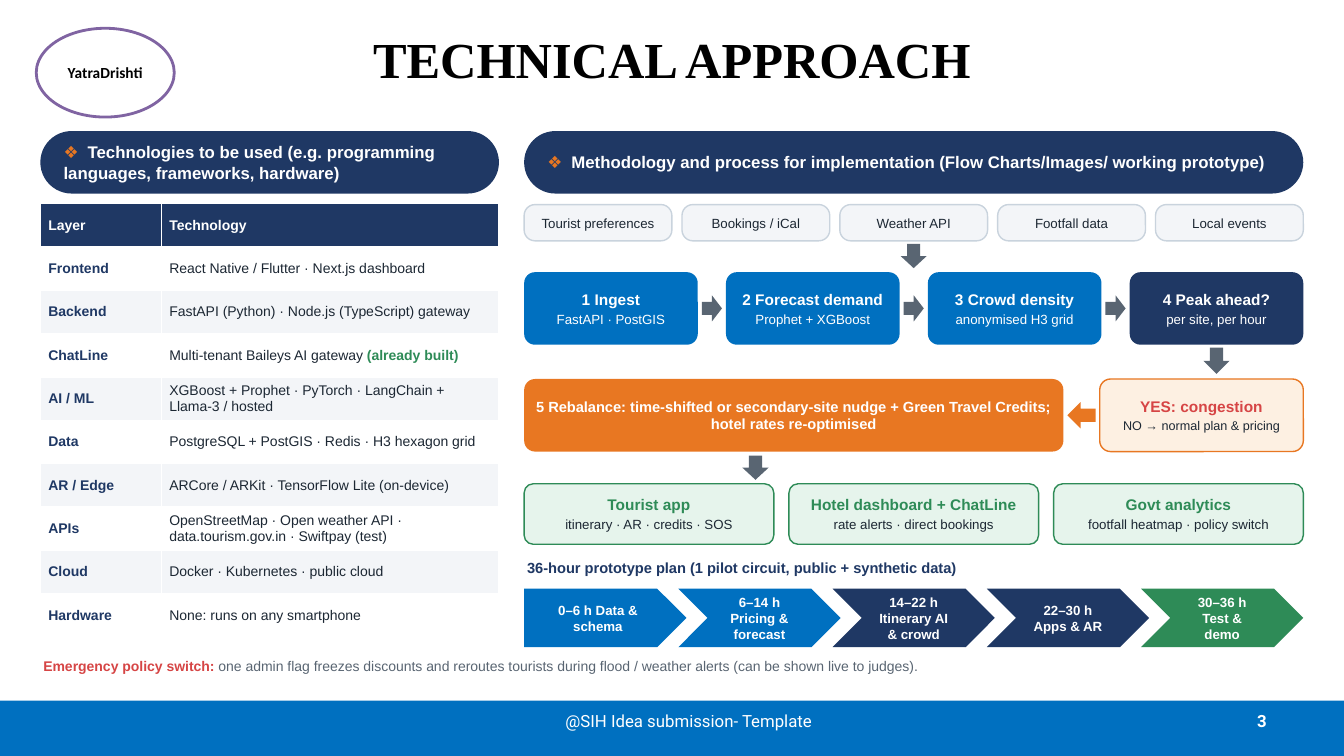
from dataclasses import dataclass
from lxml import etree
from pptx import Presentation
from pptx.dml.color import RGBColor
from pptx.enum.shapes import MSO_SHAPE
from pptx.enum.text import MSO_ANCHOR, PP_ALIGN
from pptx.oxml.ns import qn
from pptx.util import Pt

WHITE = RGBColor(0xFF, 0xFF, 0xFF)
BLACK = RGBColor(0, 0, 0)
BLUE = RGBColor(0x00, 0x70, 0xC0)
NAVY = RGBColor(0x1F, 0x38, 0x64)
ORANGE = RGBColor(0xE8, 0x77, 0x22)
CREAM = RGBColor(0xFD, 0xF0, 0xE2)
GREEN = RGBColor(0x2E, 0x8B, 0x57)
MINT = RGBColor(0xE6, 0xF4, 0xEC)
RED = RGBColor(0xD6, 0x45, 0x45)
INK = RGBColor(0x1C, 0x27, 0x33)
SLATE = RGBColor(0x59, 0x65, 0x72)
MIST = RGBColor(0xF3, 0xF5, 0xF8)
EDGE = RGBColor(0xC9, 0xD3, 0xDD)
PURPLE = RGBColor(0x80, 0x64, 0xA2)

RECT, ROUND, OVAL = MSO_SHAPE.RECTANGLE, MSO_SHAPE.ROUNDED_RECTANGLE, MSO_SHAPE.OVAL
PLATE, CHEVRON = MSO_SHAPE.PENTAGON, MSO_SHAPE.CHEVRON
DOWN, NEXT, BACK = MSO_SHAPE.DOWN_ARROW, MSO_SHAPE.RIGHT_ARROW, MSO_SHAPE.LEFT_ARROW
LEFT, MID, RIGHT = PP_ALIGN.LEFT, PP_ALIGN.CENTER, PP_ALIGN.RIGHT
TOP, CENTER = MSO_ANCHOR.TOP, MSO_ANCHOR.MIDDLE

EDGE_L, EDGE_R = 28.8, 374.4  # left edges of the two panels
WIDE_L, WIDE_R = 327.6, 556.56


@dataclass
class Box:
    x: float
    y: float
    w: float
    h: float


@dataclass
class Run:
    text: str
    size: float
    color: RGBColor
    bold: bool = False
    font: str = "Arial"


@dataclass
class Look:
    kind: MSO_SHAPE
    fill: RGBColor
    line: RGBColor | None = None
    round: float | None = None
    weight: float = 1


Lines = list[list[Run]]


def write(frame, lines: Lines, align=MID, after: float = 2) -> None:
    for i, runs in enumerate(lines):
        para = frame.paragraphs[0] if i == 0 else frame.add_paragraph()
        para.alignment = align
        para.space_after = Pt(after)
        for run in runs:
            part = para.add_run()
            part.text = run.text
            font = part.font
            font.name, font.size, font.bold = run.font, Pt(run.size), run.bold
            font.color.rgb = run.color


def pad(item, side: float, end: float) -> None:
    """Set the inner margins of a text frame or a table cell."""
    item.margin_left = item.margin_right = Pt(side)
    item.margin_top = item.margin_bottom = Pt(end)


def draw(slide, box: Box, look: Look, lines: Lines = (), align=MID, side: float = 2.88):
    shape = slide.shapes.add_shape(look.kind, Pt(box.x), Pt(box.y), Pt(box.w), Pt(box.h))
    shape.shadow.inherit = False
    shape.fill.solid()
    shape.fill.fore_color.rgb = look.fill
    if look.line is None:
        shape.line.fill.background()
    else:
        shape.line.color.rgb = look.line
        shape.line.width = Pt(look.weight)
    if look.round is not None:
        shape.adjustments[0] = look.round
    if lines:
        frame = shape.text_frame
        frame.word_wrap = True
        frame.vertical_anchor = CENTER
        pad(frame, side, 2.16)
        write(frame, lines, align)
    return shape


def label(slide, box: Box, runs: list[Run], align=LEFT, anchor=TOP,
          side: float = 2.16, end: float = 1.44) -> None:
    frame = slide.shapes.add_textbox(Pt(box.x), Pt(box.y), Pt(box.w), Pt(box.h)).text_frame
    frame.word_wrap = True
    frame.vertical_anchor = anchor
    pad(frame, side, end)
    write(frame, [runs], align, 0)


def spread(count: int, gap: float, y: float, h: float) -> list[Box]:
    """Split the right panel into equal boxes; a negative gap overlaps them."""
    w = (WIDE_R - gap * (count - 1)) / count
    return [Box(EDGE_R + i * (w + gap), y, w, h) for i in range(count)]


def pair(head: str, note: str, tone: RGBColor, ink: RGBColor, small: float = 9.5) -> Lines:
    return [[Run(head, 11, tone, True)], [Run(note, small, ink)]]


def pill(slide, x: float, w: float, text: str) -> None:
    runs = [Run("❖\t", 12, ORANGE, True), Run(text, 12, WHITE, True)]
    shape = draw(slide, Box(x, 93.6, w, 44.64), Look(ROUND, NAVY, round=0.5), [runs], LEFT, 10.08)
    props = shape.text_frame.paragraphs[0]._p.get_or_add_pPr()
    tabs = etree.SubElement(props, qn("a:tabLst"))
    etree.SubElement(tabs, qn("a:tab"), pos=str(Pt(17.2)), algn="l")


STACK = [
    ("Layer", "Technology", ""),
    ("Frontend", "React Native / Flutter · Next.js dashboard", ""),
    ("Backend", "FastAPI (Python) · Node.js (TypeScript) gateway", ""),
    ("ChatLine", "Multi-tenant Baileys AI gateway ", "(already built)"),
    ("AI / ML", "XGBoost + Prophet · PyTorch · LangChain + Llama-3 / hosted", ""),
    ("Data", "PostgreSQL + PostGIS · Redis · H3 hexagon grid", ""),
    ("AR / Edge", "ARCore / ARKit · TensorFlow Lite (on-device)", ""),
    ("APIs", "OpenStreetMap · Open weather API · data.tourism.gov.in · Swiftpay (test)", ""),
    ("Cloud", "Docker · Kubernetes · public cloud", ""),
    ("Hardware", "None: runs on any smartphone", ""),
]


def grid(slide) -> None:
    high = 30.96
    table = slide.shapes.add_table(len(STACK), 2, Pt(EDGE_L), Pt(145.44), Pt(WIDE_L),
                                   Pt(high * len(STACK))).table
    table.horz_banding = False
    for col, w in zip(table.columns, (86.4, 241.2)):
        col.width = Pt(w)
    for i, (layer, tech, mark) in enumerate(STACK):
        table.rows[i].height = Pt(high)
        head = i == 0
        fill = NAVY if head else WHITE if i % 2 else MIST
        name = [Run(layer, 10, WHITE if head else NAVY, True)]
        body = [Run(tech, 10, WHITE if head else INK, head)]
        if mark:
            body.append(Run(mark, 10, GREEN, True))
        for j, runs in enumerate((name, body)):
            cell = table.cell(i, j)
            cell.fill.solid()
            cell.fill.fore_color.rgb = fill
            cell.vertical_anchor = CENTER
            pad(cell, 5.76, 2.16)
            write(cell.text_frame, [runs], LEFT)


def flow(slide) -> None:
    feeds = ["Tourist preferences", "Bookings / iCal", "Weather API", "Footfall data", "Local events"]
    for box, text in zip(spread(len(feeds), 7.2, 146.16, 25.92), feeds):
        draw(slide, box, Look(ROUND, MIST, EDGE, 0.3), [[Run(text, 9.5, INK)]], side=2.16)

    steps = [
        ("1 Ingest", "FastAPI · PostGIS", BLUE),
        ("2 Forecast demand", "Prophet + XGBoost", BLUE),
        ("3 Crowd density", "anonymised H3 grid", BLUE),
        ("4 Peak ahead?", "per site, per hour", NAVY),
    ]
    boxes = spread(len(steps), 20.16, 194.4, 51.84)
    for box, (head, note, fill) in zip(boxes, steps):
        draw(slide, box, Look(ROUND, fill, round=0.15), pair(head, note, WHITE, WHITE))
    for box in boxes[:-1]:
        draw(slide, Box(box.x + box.w + 2.88, 210.96, 14.4, 18.72), Look(NEXT, SLATE))

    draw(slide, Box(785.52, 270.72, 145.44, 51.84), Look(ROUND, CREAM, ORANGE, 0.15),
         pair("YES: congestion", "NO → normal plan & pricing", RED, INK, 9), side=5.76)
    draw(slide, Box(762.48, 287.28, 20.16, 18.72), Look(BACK, ORANGE))
    plan = ("5 Rebalance: time-shifted or secondary-site nudge + Green Travel Credits; "
            "hotel rates re-optimised")
    draw(slide, Box(EDGE_R, 270.72, 385.2, 51.84), Look(ROUND, ORANGE, round=0.15),
         [[Run(plan, 10.5, WHITE, True)]], side=5.76)

    for x, y, h in ((643.3, 174.24, 17.28), (859.6, 248.4, 18.72), (530.3, 325.44, 17.28)):
        draw(slide, Box(x, y, 18.72, h), Look(DOWN, SLATE))

    ends = [
        ("Tourist app", "itinerary · AR · credits · SOS"),
        ("Hotel dashboard + ChatLine", "rate alerts · direct bookings"),
        ("Govt analytics", "footfall heatmap · policy switch"),
    ]
    for box, (head, note) in zip(spread(len(ends), 10.8, 345.6, 43.2), ends):
        draw(slide, box, Look(ROUND, MINT, GREEN, 0.15), pair(head, note, GREEN, INK))


def phases(slide) -> None:
    label(slide, Box(EDGE_R, 397.44, WIDE_R, 20.16),
          [Run("36-hour prototype plan (1 pilot circuit, public + synthetic data)", 10.5, NAVY, True)])
    parts = [
        (PLATE, "0–6 h Data & schema", BLUE),
        (CHEVRON, "6–14 h Pricing & forecast", BLUE),
        (CHEVRON, "14–22 h Itinerary AI & crowd", NAVY),
        (CHEVRON, "22–30 h Apps & AR", NAVY),
        (CHEVRON, "30–36 h Test & demo", GREEN),
    ]
    for box, (kind, text, fill) in zip(spread(len(parts), -5.76, 420.48, 41.76), parts):
        draw(slide, box, Look(kind, fill), [[Run(text, 9.5, WHITE, True)]], side=10.08)


def main() -> None:
    deck = Presentation()
    deck.slide_width, deck.slide_height = Pt(960), Pt(540)
    slide = deck.slides.add_slide(deck.slide_layouts[6])

    draw(slide, Box(0, 500.4, 960, 39.6), Look(RECT, BLUE))
    label(slide, Box(48, -3.6, 864, 90),
          [Run("TECHNICAL APPROACH", 36, BLACK, True, "Times New Roman")], MID, CENTER, 7.2, 3.6)
    label(slide, Box(688, 500.4, 224, 28.8), [Run("3", 12, WHITE, True, "Roboto")],
          RIGHT, CENTER, 7.2, 3.6)
    label(slide, Box(366, 500.4, 252, 28.8),
          [Run("@SIH Idea submission- Template", 12, WHITE, False, "Roboto")], MID, CENTER, 7.2, 3.6)
    team = draw(slide, Box(25.9, 20.2, 98.6, 63.4), Look(OVAL, WHITE, PURPLE, weight=2),
                [[Run("YatraDrishti", 11, BLACK, True, "Calibri")]], side=0)
    team.text_frame.word_wrap = False

    pill(slide, EDGE_L, WIDE_L,
         "Technologies to be used (e.g. programming languages, frameworks, hardware)")
    grid(slide)
    pill(slide, EDGE_R, WIDE_R,
         "Methodology and process for implementation (Flow Charts/Images/ working prototype)")
    flow(slide)
    phases(slide)
    label(slide, Box(EDGE_L, 468, 900, 21.6), [
        Run("Emergency policy switch: ", 10, RED, True),
        Run("one admin flag freezes discounts and reroutes tourists during flood / weather alerts "
            "(can be shown live to judges).", 10, SLATE)])
    deck.save("out.pptx")


if __name__ == "__main__":
    main()
